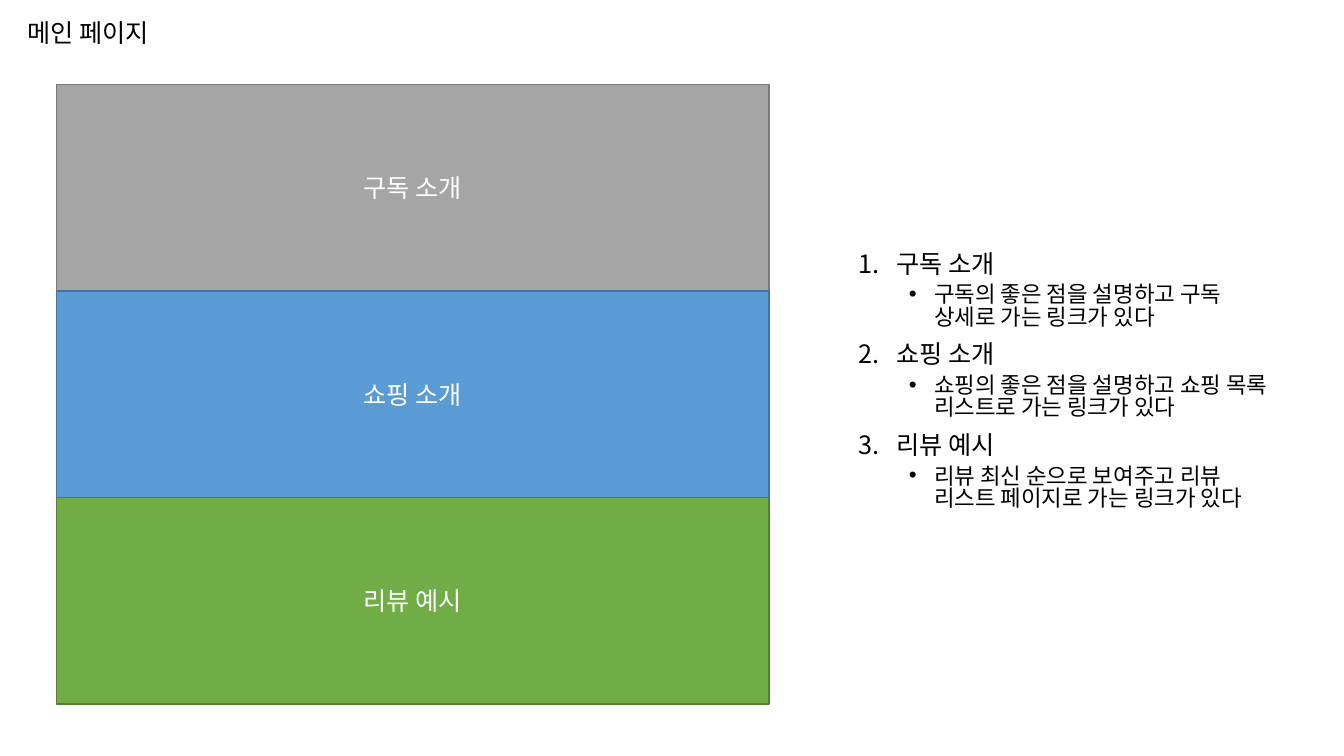
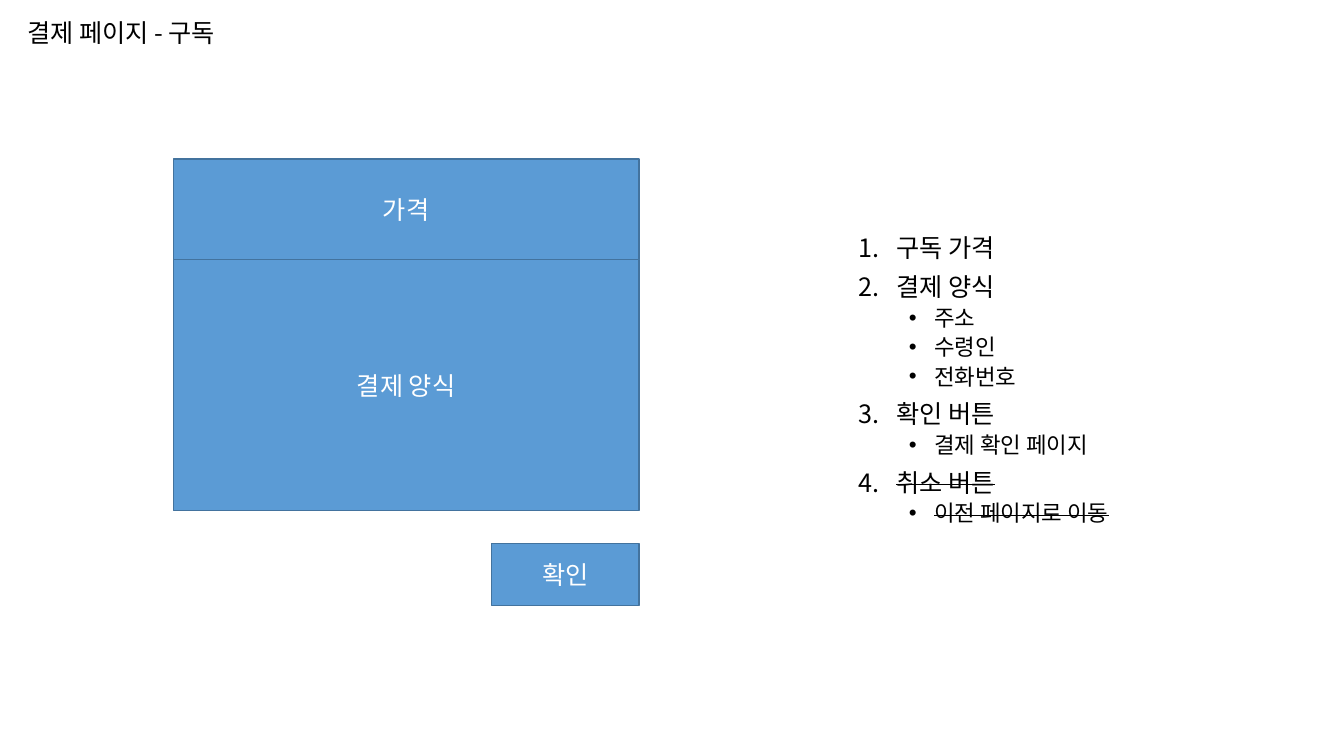
from collections import namedtuple

from lxml.etree import SubElement
from pptx import Presentation
from pptx.dml.color import RGBColor
from pptx.enum.shapes import MSO_SHAPE
from pptx.enum.text import MSO_ANCHOR, MSO_AUTO_SIZE, PP_ALIGN
from pptx.oxml.ns import qn
from pptx.util import Pt

Box = namedtuple("Box", "left top width height")
Swatch = namedtuple("Swatch", "fill line")

FONT = "Noto Sans CJK KR"
BLACK, WHITE = "000000", "FFFFFF"
GRAY = Swatch("A5A5A5", "7A7A7A")
BLUE = Swatch("5B9BD5", "43739E")
GREEN = Swatch("70AD47", "538035")

TITLE_BOX = Box(12.2, 7.2, 321.8, 34.6)
NOTES_BOX = Box(606.2, 36.7, 314.6, 472.3)
MAIN_BOX = Box(40.3, 60.3, 509, 442.5)
PAYMENT_BOX = Box(123.8, 113.5, 332.6, 251.3)
BUTTON_WIDTH, BUTTON_HEIGHT, BUTTON_GAP = 105.1, 44.6, 23.2


def color(hex_text):
    return RGBColor.from_string(hex_text)


def in_points(box):
    return [Pt(length) for length in box]


def write(paragraph, text, size=18, fill=BLACK, align=PP_ALIGN.LEFT,
          line_spacing=1.0, before=0, strike=False):
    paragraph.alignment = align
    paragraph.line_spacing = line_spacing
    paragraph.space_before = Pt(before)
    run = paragraph.add_run()
    run.text = text
    run.font.size = Pt(size)
    run.font.name = FONT
    run.font.color.rgb = color(fill)
    properties = run.font._element
    SubElement(properties, qn("a:ea"), typeface=FONT)
    if strike:
        properties.set("strike", "sngStrike")


def add_bullet(paragraph, indent, hanging, numbered):
    properties = paragraph._p.get_or_add_pPr()
    properties.set("marL", str(Pt(indent)))
    properties.set("indent", str(-Pt(hanging)))
    if numbered:
        SubElement(properties, qn("a:buFont"), typeface=FONT)
        SubElement(properties, qn("a:buAutoNum"), type="arabicPeriod")
    else:
        SubElement(properties, qn("a:buFont"), typeface="Arial")
        SubElement(properties, qn("a:buChar"), char="•")


def add_titled_slide(presentation, text):
    slide = presentation.slides.add_slide(presentation.slide_layouts[5])
    title = slide.shapes.title
    title.left, title.top, title.width, title.height = in_points(TITLE_BOX)
    frame = title.text_frame
    frame.auto_size = MSO_AUTO_SIZE.NONE
    frame.vertical_anchor = MSO_ANCHOR.MIDDLE
    write(frame.paragraphs[0], text, line_spacing=0.9)
    return slide


def add_block(slide, box, text, swatch):
    block = slide.shapes.add_shape(MSO_SHAPE.RECTANGLE, *in_points(box))
    block.shadow.inherit = False
    block.fill.solid()
    block.fill.fore_color.rgb = color(swatch.fill)
    block.line.color.rgb = color(swatch.line)
    block.line.width = Pt(1)
    block.text_frame.vertical_anchor = MSO_ANCHOR.MIDDLE
    write(block.text_frame.paragraphs[0], text, fill=WHITE, align=PP_ALIGN.CENTER)


def add_stack(slide, box, blocks):
    """Fill the box from top to bottom with (text, swatch, share of height)."""
    total = sum(share for _, _, share in blocks)
    top = box.top
    for text, swatch, share in blocks:
        height = box.height * share / total
        add_block(slide, Box(box.left, top, box.width, height), text, swatch)
        top += height


def add_notes(slide, box, items, struck=()):
    """List (heading, details) pairs; headings in struck are crossed out."""
    frame = slide.shapes.add_textbox(*in_points(box)).text_frame
    frame.word_wrap = True
    frame.auto_size = MSO_AUTO_SIZE.NONE
    frame.vertical_anchor = MSO_ANCHOR.MIDDLE
    paragraph = frame.paragraphs[0]
    for number, (heading, details) in enumerate(items):
        if number:
            paragraph = frame.add_paragraph()
        strike = heading in struck
        write(paragraph, heading, line_spacing=0.83, before=10, strike=strike)
        add_bullet(paragraph, indent=27, hanging=27, numbered=True)
        for detail in details:
            paragraph = frame.add_paragraph()
            paragraph.level = 1
            write(paragraph, detail, size=16, line_spacing=0.83, before=5, strike=strike)
            add_bullet(paragraph, indent=54, hanging=18, numbered=False)


def build_main_page(presentation):
    slide = add_titled_slide(presentation, "메인 페이지")
    add_notes(slide, NOTES_BOX, [
        ("구독 소개", ["구독의 좋은 점을 설명하고 구독 상세로 가는 링크가 있다"]),
        ("쇼핑 소개", ["쇼핑의 좋은 점을 설명하고 쇼핑 목록 리스트로 가는 링크가 있다"]),
        ("리뷰 예시", ["리뷰 최신 순으로 보여주고 리뷰 리스트 페이지로 가는 링크가 있다"]),
    ])
    add_stack(slide, MAIN_BOX, [
        ("구독 소개", GRAY, 1),
        ("쇼핑 소개", BLUE, 1),
        ("리뷰 예시", GREEN, 1),
    ])


def build_payment_page(presentation):
    slide = add_titled_slide(presentation, "결제 페이지 - 구독")
    add_notes(slide, NOTES_BOX, [
        ("구독 가격", []),
        ("결제 양식", ["주소", "수령인", "전화번호"]),
        ("확인 버튼", ["결제 확인 페이지"]),
        ("취소 버튼", ["이전 페이지로 이동"]),
    ], struck=["취소 버튼"])
    form = PAYMENT_BOX
    add_stack(slide, form, [("가격", BLUE, 2), ("결제 양식", BLUE, 5)])
    button = Box(form.left + form.width - BUTTON_WIDTH,
                 form.top + form.height + BUTTON_GAP, BUTTON_WIDTH, BUTTON_HEIGHT)
    add_block(slide, button, "확인", BLUE)


def main():
    presentation = Presentation()
    presentation.slide_width = Pt(960)
    presentation.slide_height = Pt(540)
    build_main_page(presentation)
    build_payment_page(presentation)
    presentation.save("out.pptx")


if __name__ == "__main__":
    main()
